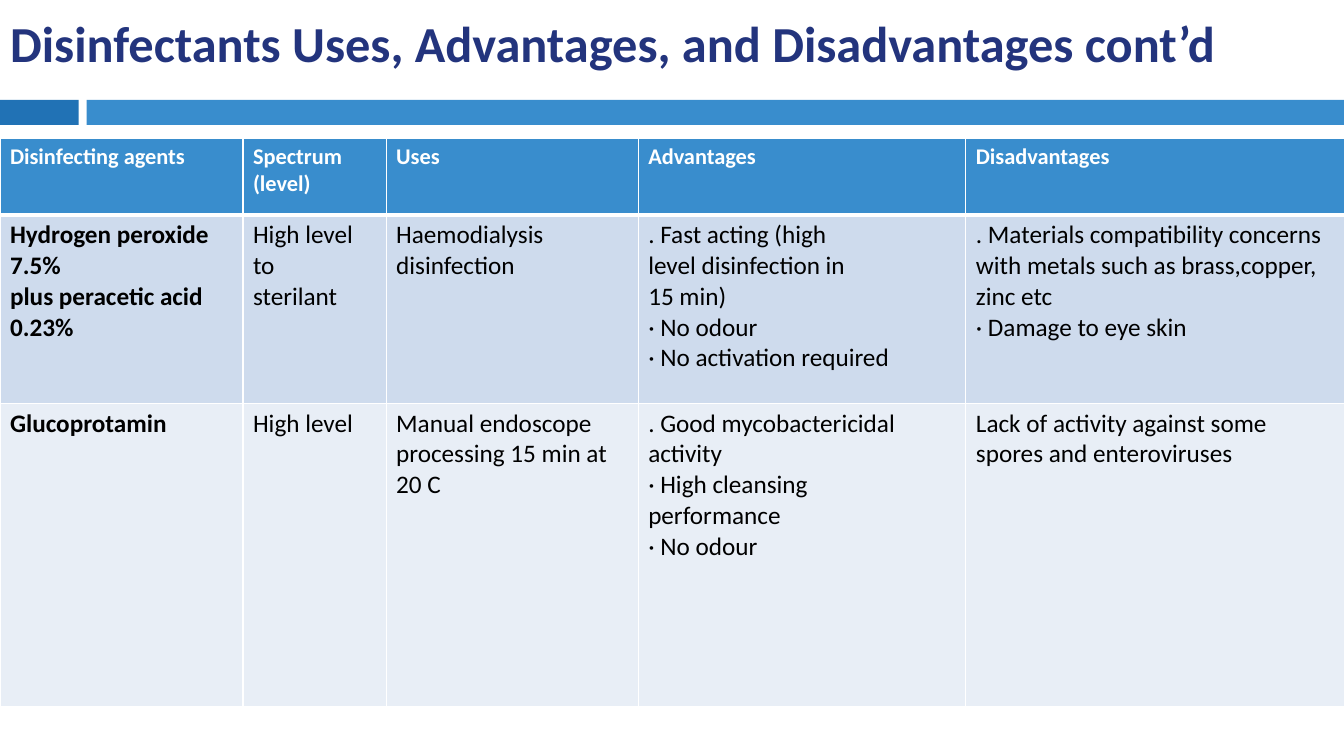
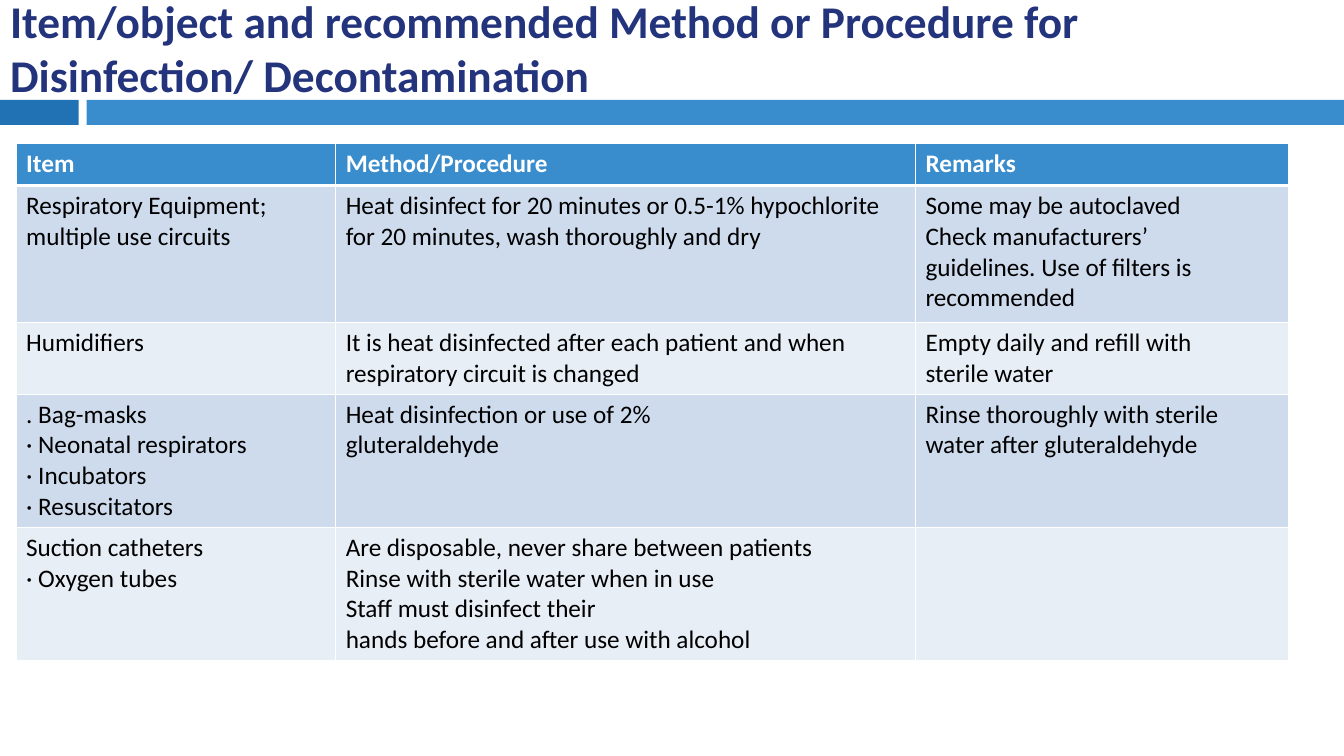
from dataclasses import dataclass

from lxml.etree import SubElement
from pptx import Presentation
from pptx.dml.color import RGBColor
from pptx.enum.shapes import MSO_SHAPE
from pptx.enum.text import MSO_ANCHOR, MSO_AUTO_SIZE, PP_ALIGN
from pptx.oxml.ns import qn
from pptx.util import Inches, Pt


@dataclass(frozen=True)
class Theme:
    font: str = "Calibri"
    title: str = "23347D"
    band_dark: str = "2172B5"
    band: str = "398DCD"
    row_odd: str = "CEDBED"
    row_even: str = "E8EEF6"
    text: str = "000000"
    white: str = "FFFFFF"
    body_size: float = 18
    small_header_size: float = 16
    title_size: float = 36
    long_title_size: float = 32.4
    border: float = 1
    header_border: float = 3


THEME = Theme()
SLIDE_WIDTH, SLIDE_HEIGHT = 13.33, 7.5
BAND_TOP, BAND_HEIGHT = 0.99, 0.25
BAND_SPLIT, BAND_RESUME = 0.78, 0.86

DISINFECTANTS = [
    ["Disinfecting agents", "Spectrum\n(level)", "Uses", "Advantages", "Disadvantages"],
    [
        "Hydrogen peroxide 7.5%\nplus peracetic acid\n0.23%",
        "High level to\nsterilant",
        "Haemodialysis\ndisinfection",
        ". Fast acting (high\nlevel disinfection in\n15 min)\n· No odour\n· No activation required",
        ". Materials compatibility concerns with metals such as brass,copper, zinc etc\n"
        "· Damage to eye skin",
    ],
    [
        "Glucoprotamin",
        "High level",
        "Manual endoscope\nprocessing 15 min at 20 C",
        ". Good mycobactericidal\nactivity\n· High cleansing\nperformance\n· No odour",
        "Lack of activity against some\nspores and enteroviruses",
    ],
]

PROCEDURES = [
    ["Item", "Method/Procedure", "Remarks"],
    [
        "Respiratory Equipment;\nmultiple use circuits",
        "Heat disinfect for 20 minutes or 0.5-1% hypochlorite for 20 minutes, "
        "wash thoroughly and dry",
        "Some may be autoclaved\nCheck manufacturers’\nguidelines. Use of filters is\nrecommended",
    ],
    [
        "Humidifiers",
        "It is heat disinfected after each patient and when respiratory circuit is changed",
        "Empty daily and refill with\nsterile water",
    ],
    [
        ". Bag-masks\n· Neonatal respirators\n· Incubators\n· Resuscitators",
        "Heat disinfection or use of 2%\ngluteraldehyde",
        "Rinse thoroughly with sterile\nwater after gluteraldehyde",
    ],
    [
        "Suction catheters\n· Oxygen tubes",
        "Are disposable, never share between patients\nRinse with sterile water when in use\n"
        "Staff must disinfect their\nhands before and after use with alcohol",
        "",
    ],
]


def format_text(frame, size, color, bold):
    for para in frame.paragraphs:
        para.alignment = PP_ALIGN.LEFT
        for span in para.runs:
            span.font.name = THEME.font
            span.font.size = Pt(size)
            span.font.bold = bold
            span.font.color.rgb = RGBColor.from_string(color)


def add_bands(slide):
    """Draw the two bands and hand them to the layout, so every slide shows them."""
    bands = [
        (0, BAND_SPLIT, THEME.band_dark),
        (BAND_RESUME, SLIDE_WIDTH, THEME.band),
    ]
    for left, right, color in bands:
        band = slide.shapes.add_shape(
            MSO_SHAPE.RECTANGLE,
            Inches(left), Inches(BAND_TOP), Inches(right - left), Inches(BAND_HEIGHT),
        )
        band.shadow.inherit = False
        band.fill.solid()
        band.fill.fore_color.rgb = RGBColor.from_string(color)
        band.line.fill.background()
        slide.slide_layout.shapes.element.append(band.element)


def set_title(slide, text, width, height, size):
    title = slide.shapes.title
    title.left, title.top = Inches(0), Inches(0.1)
    title.width, title.height = Inches(width), Inches(height)
    frame = title.text_frame
    frame.text = text
    frame.word_wrap = True
    frame.auto_size = MSO_AUTO_SIZE.NONE
    frame.vertical_anchor = MSO_ANCHOR.MIDDLE
    format_text(frame, size, THEME.title, True)


def set_borders(cell, top, bottom):
    properties = cell._tc.get_or_add_tcPr()
    widths = {"L": THEME.border, "R": THEME.border, "T": top, "B": bottom}
    for side, width in widths.items():
        line = SubElement(properties, qn(f"a:ln{side}"), w=str(Pt(width)))
        fill = SubElement(line, qn("a:solidFill"))
        SubElement(fill, qn("a:srgbClr"), val=THEME.white)


def add_table(slide, rows, left, top, widths, heights, header_size, bold_first=False):
    table = slide.shapes.add_table(
        len(rows), len(widths),
        Inches(left), Inches(top), Inches(sum(widths)), Inches(sum(heights)),
    ).table
    for column, width in zip(table.columns, widths):
        column.width = Inches(width)
    for row, height in zip(table.rows, heights):
        row.height = Inches(height)

    for row_index, texts in enumerate(rows):
        header = row_index == 0
        if header:
            fill, color, size = THEME.band, THEME.white, header_size
        else:
            fill = THEME.row_odd if row_index % 2 else THEME.row_even
            color, size = THEME.text, THEME.body_size
        border_top = THEME.header_border if row_index == 1 else THEME.border
        border_bottom = THEME.header_border if header else THEME.border
        for column_index, text in enumerate(texts):
            cell = table.cell(row_index, column_index)
            set_borders(cell, border_top, border_bottom)
            cell.fill.solid()
            cell.fill.fore_color.rgb = RGBColor.from_string(fill)
            cell.text_frame.text = text
            bold = header or (bold_first and column_index == 0)
            format_text(cell.text_frame, size, color, bold)


def main():
    deck = Presentation()
    deck.slide_width, deck.slide_height = Inches(SLIDE_WIDTH), Inches(SLIDE_HEIGHT)
    title_only = deck.slide_layouts[5]

    page = deck.slides.add_slide(title_only)
    add_bands(page)
    set_title(page, "Disinfectants Uses, Advantages, and Disadvantages cont’d",
              SLIDE_WIDTH, 0.65, THEME.title_size)
    add_table(page, DISINFECTANTS, 0, 1.37, [2.41, 1.42, 2.5, 3.25, 3.92],
              [0.76, 1.87, 3.01], THEME.small_header_size, bold_first=True)

    page = deck.slides.add_slide(title_only)
    set_title(page, "Item/object and recommended Method or Procedure for "
              "Disinfection/ Decontamination", 12.91, 0.74, THEME.long_title_size)
    add_table(page, PROCEDURES, 0.16, 1.42, [3.17, 5.75, 3.7],
              [0.42, 1.36, 0.71, 1.32, 1.32], THEME.body_size)

    deck.save("out.pptx")


if __name__ == "__main__":
    main()
